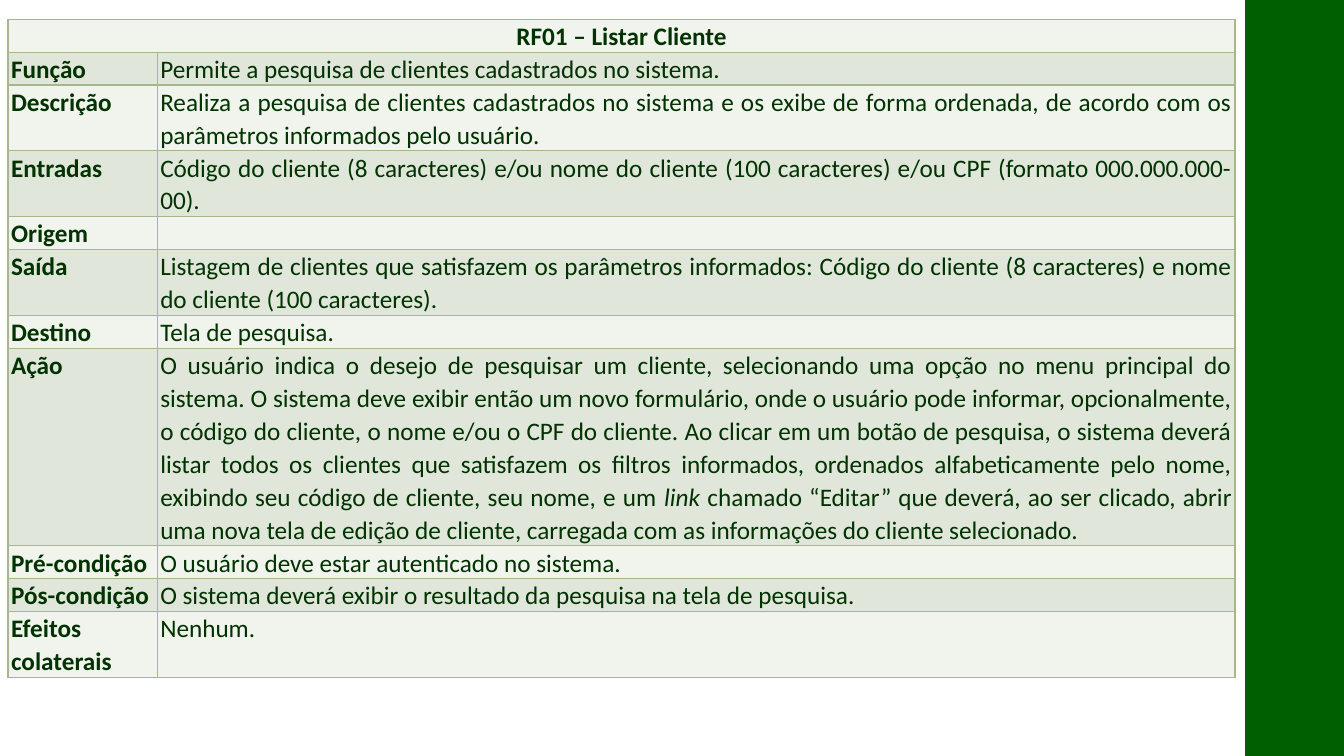
from lxml import etree
from pptx import Presentation
from pptx.dml.color import RGBColor
from pptx.enum.shapes import MSO_SHAPE
from pptx.enum.text import PP_ALIGN
from pptx.oxml.ns import qn
from pptx.util import Inches, Pt

RECT = MSO_SHAPE.RECTANGLE
CENTER, JUSTIFY = PP_ALIGN.CENTER, PP_ALIGN.JUSTIFY

BAND_GREEN = RGBColor(0x00, 0x60, 0x00)
TEXT_GREEN = RGBColor(0x00, 0x33, 0x00)
BORDER_GREEN = RGBColor(0xA7, 0xB7, 0x89)
ROW_FILLS = (RGBColor(0xF1, 0xF3, 0xED), RGBColor(0xE1, 0xE6, 0xDA))

SLIDE_W, SLIDE_H = 13.33, 7.5
BAND_LEFT = 12.35
TABLE_LEFT, TABLE_TOP = 0.08, 0.19
COLUMNS = (1.48, 10.69)
LINE_H = 0.32

TITLE = "RF01 – Listar Cliente"
# Label, lines of text in the row, and (text, italic) runs of the description
FIELDS = [
    ("Função", 1, [("Permite a pesquisa de clientes cadastrados no sistema.", False)]),
    ("Descrição", 2, [("Realiza a pesquisa de clientes cadastrados no sistema e os exibe de forma "
                       "ordenada, de acordo com os parâmetros informados pelo usuário.", False)]),
    ("Entradas", 2, [("Código do cliente (8 caracteres) e/ou nome do cliente (100 caracteres) "
                      "e/ou CPF (formato 000.000.000-00).", False)]),
    ("Origem", 1, []),
    ("Saída", 2, [("Listagem de clientes que satisfazem os parâmetros informados: Código do "
                   "cliente (8 caracteres) e nome do cliente (100 caracteres).", False)]),
    ("Destino", 1, [("Tela de pesquisa.", False)]),
    ("Ação", 6, [
        ("O usuário indica o desejo de pesquisar um cliente, selecionando uma opção no menu "
         "principal do sistema. O sistema deve exibir então um novo formulário, onde o usuário "
         "pode informar, opcionalmente, o código do cliente, o nome e/ou o CPF do cliente. Ao "
         "clicar em um botão de pesquisa, o sistema deverá listar todos os clientes que "
         "satisfazem os filtros informados, ordenados alfabeticamente pelo nome, exibindo seu "
         "código de cliente, seu nome, e um ", False),
        ("link ", True),
        ("chamado “Editar” que deverá, ao ser clicado, abrir uma nova tela de edição de "
         "cliente, carregada com as informações do cliente selecionado.", False)]),
    ("Pré-condição", 1, [("O usuário deve estar autenticado no sistema.", False)]),
    ("Pós-condição", 1, [("O sistema deverá exibir o resultado da pesquisa na tela de pesquisa.",
                          False)]),
    ("Efeitos colaterais", 2, [("Nenhum.", False)]),
]


def add_side_band(s):
    band = s.shapes.add_shape(RECT, Inches(BAND_LEFT), 0,
                              Inches(SLIDE_W - BAND_LEFT), Inches(SLIDE_H))
    band.shadow.inherit = False
    band.fill.solid()
    band.fill.fore_color.rgb = BAND_GREEN
    band.line.fill.background()


def set_borders(cell):
    tc_pr = cell._tc.get_or_add_tcPr()
    for i, side in enumerate(("lnL", "lnR", "lnT", "lnB")):
        ln = etree.Element(qn(f"a:{side}"), w=str(Pt(1)))
        fill = etree.SubElement(ln, qn("a:solidFill"))
        etree.SubElement(fill, qn("a:srgbClr"), val=str(BORDER_GREEN))
        tc_pr.insert(i, ln)


def format_cell(cell, fill):
    cell.margin_left = cell.margin_right = Inches(0.03)
    cell.margin_top = cell.margin_bottom = 0
    cell.fill.solid()
    cell.fill.fore_color.rgb = fill
    set_borders(cell)


def write_cell(cell, runs, bold=False, align=JUSTIFY):
    p = cell.text_frame.paragraphs[0]
    p.alignment = align
    p.line_spacing = 1.07
    p.font.size = Pt(18)
    for text, italic in runs:
        r = p.add_run()
        r.text = text
        r.font.name = "Calibri"
        r.font.size = Pt(18)
        r.font.bold = bold
        r.font.italic = italic
        r.font.color.rgb = TEXT_GREEN


def add_requirement_table(s):
    line_counts = [1] + [lines for _, lines, _ in FIELDS]
    frame = s.shapes.add_table(len(line_counts), len(COLUMNS),
                               Inches(TABLE_LEFT), Inches(TABLE_TOP),
                               Inches(sum(COLUMNS)), Inches(LINE_H * sum(line_counts)))
    table = frame.table
    table.first_row = table.horz_banding = False
    for column, width in zip(table.columns, COLUMNS):
        column.width = Inches(width)
    for i, lines in enumerate(line_counts):
        table.rows[i].height = Inches(LINE_H * lines)
        for j in range(len(COLUMNS)):
            format_cell(table.cell(i, j), ROW_FILLS[i % 2])

    table.cell(0, 0).merge(table.cell(0, 1))
    write_cell(table.cell(0, 0), [(TITLE, False)], bold=True, align=CENTER)
    for i, (label, _, runs) in enumerate(FIELDS, start=1):
        write_cell(table.cell(i, 0), [(label, False)], bold=True)
        write_cell(table.cell(i, 1), runs)


def main():
    prs = Presentation()
    prs.slide_width, prs.slide_height = Inches(SLIDE_W), Inches(SLIDE_H)
    s = prs.slides.add_slide(prs.slide_layouts[6])
    add_side_band(s)
    add_requirement_table(s)
    prs.save("out.pptx")


if __name__ == "__main__":
    main()
